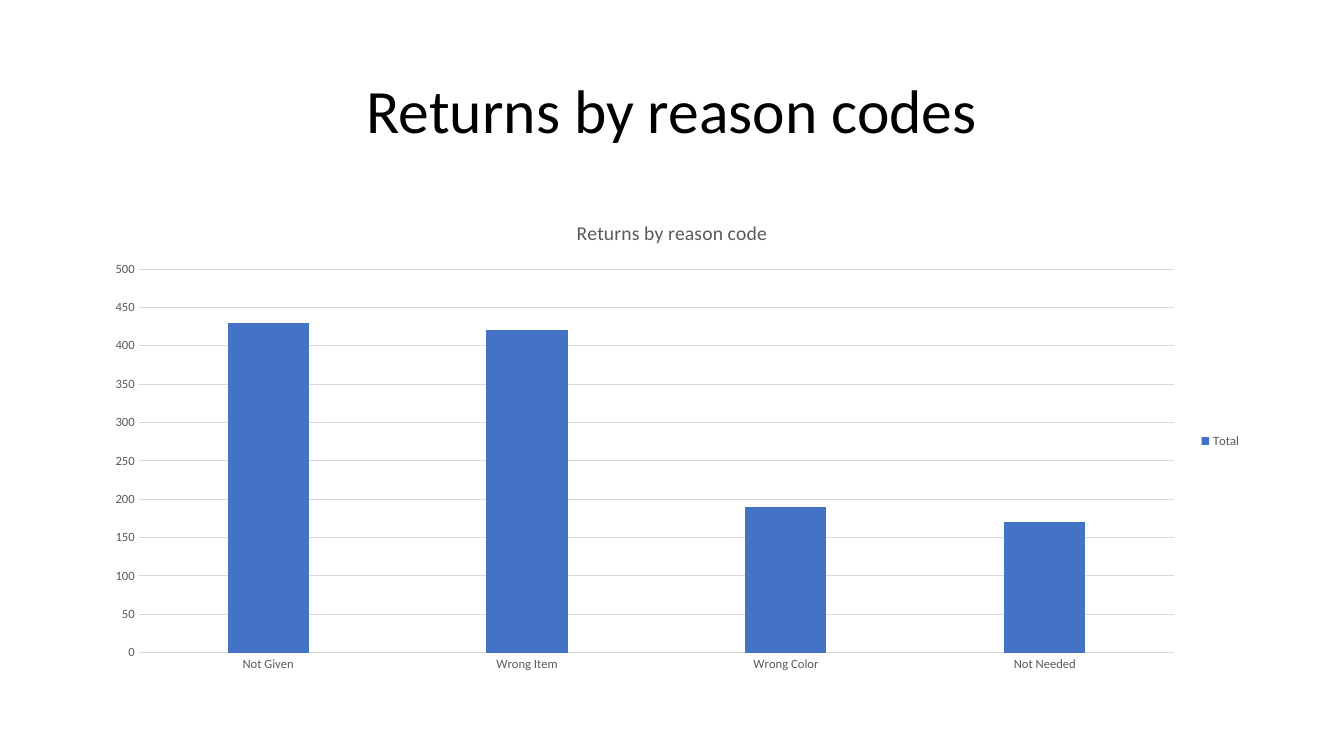
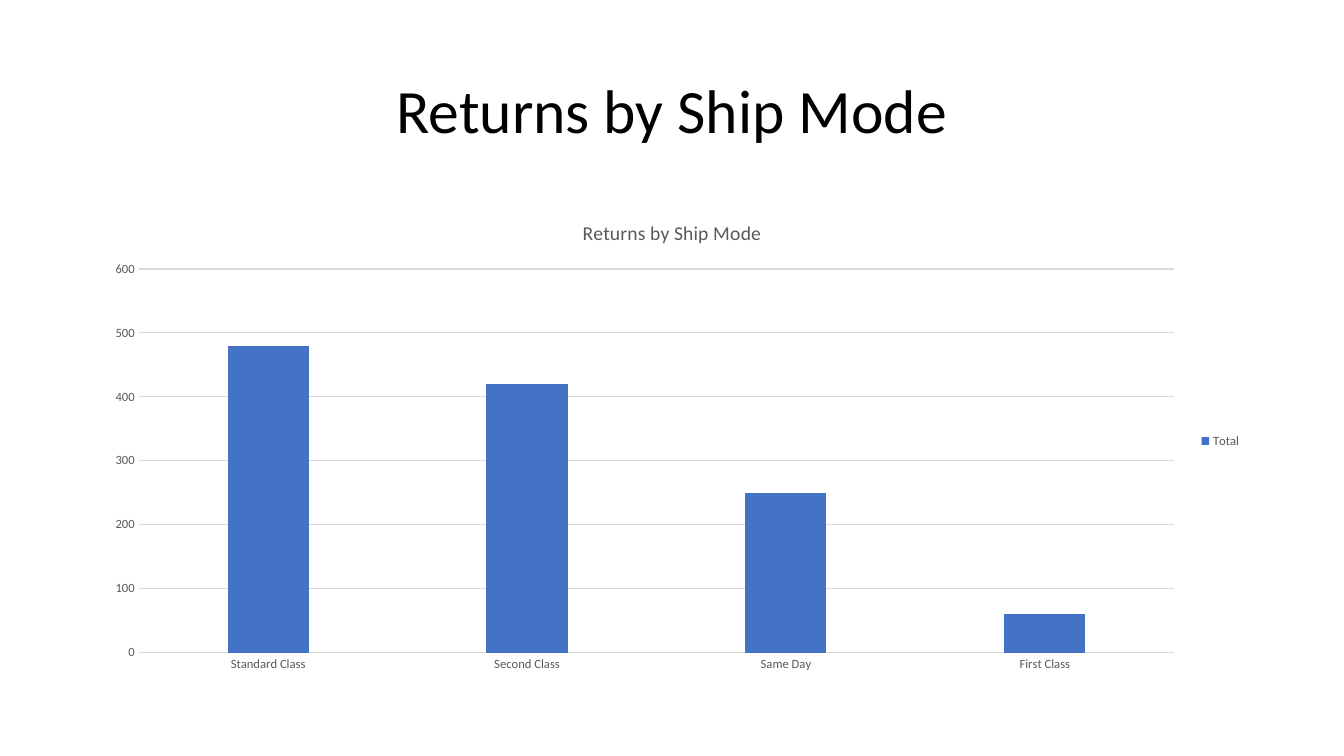
from dataclasses import dataclass

from pptx import Presentation
from pptx.chart.data import CategoryChartData
from pptx.dml.color import RGBColor
from pptx.enum.chart import XL_CHART_TYPE, XL_LEGEND_POSITION, XL_TICK_MARK
from pptx.enum.text import MSO_ANCHOR, PP_ALIGN
from pptx.util import Pt


@dataclass(frozen=True)
class Theme:
    font: str = "Calibri"
    black: RGBColor = RGBColor(0x00, 0x00, 0x00)
    label: RGBColor = RGBColor(0x59, 0x59, 0x59)
    grid: RGBColor = RGBColor(0xD9, 0xD9, 0xD9)
    bar: RGBColor = RGBColor(0x44, 0x72, 0xC4)
    title_size: int = 44
    chart_title_size: int = 14
    chart_size: int = 10
    label_size: int = 9


theme = Theme()


def set_font(font, size, color):
    font.name = theme.font
    font.size = Pt(size)
    font.bold = False
    font.color.rgb = color


def set_line(line):
    line.color.rgb = theme.grid
    line.width = Pt(0.75)


# Slide title, chart title, axis maximum, axis step, returns per category
reports = [
    ("Returns by reason codes", "Returns by reason code", 500, 50,
     {"Not Given": 430, "Wrong Item": 420, "Wrong Color": 190, "Not Needed": 170}),
    ("Returns by Ship Mode", "Returns by Ship Mode", 600, 100,
     {"Standard Class": 480, "Second Class": 420, "Same Day": 250, "First Class": 60}),
]

presentation = Presentation()
presentation.slide_width = Pt(960)
presentation.slide_height = Pt(540)
left, width = Pt(66), Pt(828)

for title, chart_title, maximum, step, returns in reports:
    slide = presentation.slides.add_slide(presentation.slide_layouts[6])

    # Slide title
    title_box = slide.shapes.add_textbox(left, Pt(28.75), width, Pt(104.4))
    title_frame = title_box.text_frame
    title_frame.word_wrap = True
    title_frame.vertical_anchor = MSO_ANCHOR.MIDDLE
    paragraph = title_frame.paragraphs[0]
    paragraph.text = title
    paragraph.alignment = PP_ALIGN.CENTER
    paragraph.line_spacing = 0.9
    set_font(paragraph.font, theme.title_size, theme.black)

    # Column chart
    chart_data = CategoryChartData()
    chart_data.categories = list(returns)
    chart_data.add_series("Total", list(returns.values()))
    chart = slide.shapes.add_chart(
        XL_CHART_TYPE.COLUMN_CLUSTERED, left, Pt(143.75), width, Pt(342.6), chart_data
    ).chart
    set_font(chart.font, theme.chart_size, theme.black)

    plot = chart.plots[0]
    plot.gap_width = 219
    plot.overlap = -27
    plot.vary_by_categories = False
    fill = plot.series[0].format.fill
    fill.solid()
    fill.fore_color.rgb = theme.bar

    # Chart title and legend
    chart.has_title = True
    paragraph = chart.chart_title.text_frame.paragraphs[0]
    paragraph.text = chart_title
    set_font(paragraph.font, theme.chart_title_size, theme.label)
    chart.chart_title.include_in_layout = False
    chart.has_legend = True
    chart.legend.position = XL_LEGEND_POSITION.RIGHT
    chart.legend.include_in_layout = False
    set_font(chart.legend.font, theme.label_size, theme.label)

    # Axes
    for axis in (chart.category_axis, chart.value_axis):
        axis.major_tick_mark = XL_TICK_MARK.NONE
        axis.minor_tick_mark = XL_TICK_MARK.NONE
        set_font(axis.tick_labels.font, theme.label_size, theme.label)
    set_line(chart.category_axis.format.line)
    value_axis = chart.value_axis
    value_axis.minimum_scale = 0
    value_axis.maximum_scale = maximum
    value_axis.major_unit = step
    value_axis.format.line.fill.background()
    set_line(value_axis.major_gridlines.format.line)

presentation.save("out.pptx")
